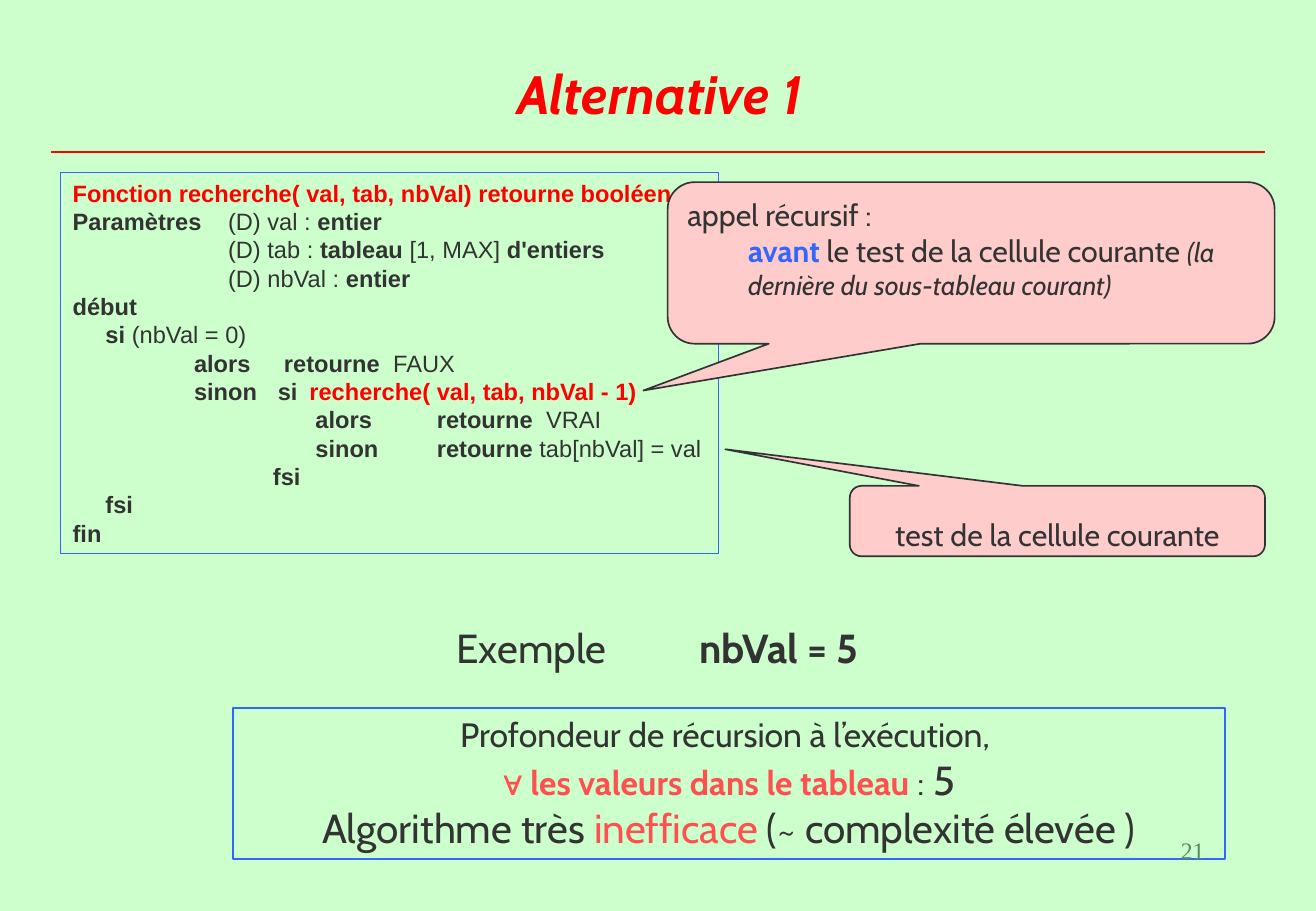
from pptx import Presentation
from pptx.dml.color import RGBColor
from pptx.enum.shapes import MSO_CONNECTOR, MSO_SHAPE
from pptx.enum.text import MSO_ANCHOR, MSO_AUTO_SIZE, PP_ALIGN
from pptx.oxml.ns import qn
from pptx.util import Inches, Pt
from lxml import etree

RECTANGLE = MSO_SHAPE.RECTANGLE
CALLOUT = MSO_SHAPE.ROUNDED_RECTANGULAR_CALLOUT
STRAIGHT = MSO_CONNECTOR.STRAIGHT
TOP, BOTTOM = MSO_ANCHOR.TOP, MSO_ANCHOR.BOTTOM
NO_FIT = MSO_AUTO_SIZE.NONE
LEFT, CENTER, RIGHT, JUSTIFY = (
    PP_ALIGN.LEFT, PP_ALIGN.CENTER, PP_ALIGN.RIGHT, PP_ALIGN.JUSTIFY)

GREEN, PINK, INK = "CCFFCC", "FFCCCC", "333333"
RED, CORAL, BLUE = "FF0000", "FF5050", "3366FF"
BOLD = {"bold": True}
CALL = {"bold": True, "color": RED}
ALERT = {"color": CORAL}
LARGE = {"size": 24}

CODE_LINES = [
    ([], [("Fonction recherche( val, tab, nbVal) retourne booléen", CALL)]),
    ([1.28], [("Paramètres", BOLD), ("\t(D) val : ", {}), ("entier", BOLD)]),
    ([1.28], [("\t(D) tab : ", {}), ("tableau", BOLD), (" [1, MAX] ", {}),
              ("d'entiers", BOLD)]),
    ([1.28], [("\t(D) nbVal : ", {}), ("entier", BOLD)]),
    ([], [("début", BOLD)]),
    ([], [("     si", BOLD), (" (nbVal = 0)", {})]),
    ([1, 1.74, 2.64], [("\talors\tretourne", BOLD), ("\tFAUX", {})]),
    ([1, 1.69, 1.95], [("\tsinon\tsi\t", BOLD),
                       ("recherche( val, tab, nbVal - 1)", CALL)]),
    ([2, 3, 3.9], [("\talors\tretourne", BOLD), ("\tVRAI", {})]),
    ([2, 3], [("\tsinon\tretourne", BOLD), (" tab[nbVal] = val", {})]),
    ([1.65], [("\tfsi", BOLD)]),
    ([], [("     fsi", BOLD)]),
    ([], [("fin", BOLD)]),
]


def rgb(value):
    return RGBColor.from_string(value)


def style_font(font, name="Cabin", size=18, color=INK, bold=False, italic=False):
    font.name = name
    font.size = Pt(size)
    font.color.rgb = rgb(color)
    font.bold = bold
    font.italic = italic


def set_tabs(para, stops):
    tab_list = etree.SubElement(para._p.get_or_add_pPr(), qn("a:tabLst"))
    for stop in stops:
        etree.SubElement(tab_list, qn("a:tab"), pos=str(Inches(stop)), algn="l")


def set_indent(para, length):
    props = para._p.get_or_add_pPr()
    props.set("marL", str(Inches(length)))
    props.set("indent", "0")


def write_lines(box, lines, align=LEFT, **base):
    frame = box.text_frame
    frame.word_wrap = True
    for index, (stops, spans) in enumerate(lines):
        para = frame.add_paragraph() if index else frame.paragraphs[0]
        para.alignment = align
        if stops:
            set_tabs(para, stops)
        for text, changes in spans:
            span = para.add_run()
            span.text = text
            style_font(span.font, **{**base, **changes})
    return frame


def add_panel(page, kind, place, line, width=1, fill=None):
    panel = page.shapes.add_shape(kind, *map(Inches, place))
    panel.shadow.inherit = False
    if fill:
        panel.fill.solid()
        panel.fill.fore_color.rgb = rgb(fill)
    else:
        panel.fill.background()
    panel.line.color.rgb = rgb(line)
    panel.line.width = Pt(width)
    panel.text_frame.vertical_anchor = TOP
    return panel


def add_callout(page, place, pointer):
    callout = add_panel(page, CALLOUT, place, INK, fill=PINK)
    callout.adjustments[0], callout.adjustments[1] = pointer
    return callout


def add_label(page, place, spans, align, stops=(), **base):
    label = page.shapes.add_textbox(*map(Inches, place))
    write_lines(label, [(stops, spans)], align, **base)


def add_title(page, text):
    title = page.shapes.title
    title.left, title.top, title.width, title.height = map(
        Inches, (0.83, 0.33, 9.21, 0.75))
    frame = title.text_frame
    frame.text = text
    frame.auto_size = NO_FIT
    frame.vertical_anchor = BOTTOM
    para = frame.paragraphs[0]
    para.alignment = CENTER
    style_font(para.runs[0].font, size=32, color=RED, bold=True, italic=True)


def add_rule(page, left, right, top):
    rule = page.shapes.add_connector(
        STRAIGHT, Inches(left), Inches(top), Inches(right), Inches(top))
    rule.line.color.rgb = rgb(RED)
    rule.line.width = Pt(1)
    etree.SubElement(rule._element.spPr, qn("a:effectLst"))


def main():
    deck = Presentation()
    deck.slide_width, deck.slide_height = Inches(10.84), Inches(7.5)
    page = deck.slides.add_slide(deck.slide_layouts[5])
    page.background.fill.solid()
    page.background.fill.fore_color.rgb = rgb(GREEN)

    code = add_panel(page, RECTANGLE, (0.5, 1.42, 5.42, 3.14), BLUE, 0.75)
    write_lines(code, CODE_LINES, JUSTIFY, name="Arial", size=14)
    add_title(page, "Alternative 1")
    add_rule(page, 0.42, 10.42, 1.25)

    recursion = add_callout(page, (5.5, 1.5, 5, 1.33), (-0.54, 0.79))
    frame = write_lines(recursion, [
        ([], [("appel récursif :", {})]),
        ([], [("avant ", {"color": BLUE, "bold": True}),
              ("le test de la cellule courante ", {}),
              ("(la dernière du sous-tableau courant)",
               {"size": 16, "italic": True})]),
    ])
    frame.paragraphs[1].level = 1
    set_indent(frame.paragraphs[1], 0.5)

    cell_test = add_callout(page, (7, 4, 3.42, 0.58), (-0.8, -1.02))
    frame = write_lines(
        cell_test, [([], [("test de la cellule courante", {})])], CENTER)
    frame.margin_top, frame.margin_bottom = Inches(0.22), 0

    add_label(page, (0.83, 5.08, 9.17, 0.6),
              [("Exemple\t", {}), ("nbVal = 5", BOLD)], CENTER, [2], size=24)

    summary = add_panel(page, RECTANGLE, (1.92, 5.83, 8.17, 1.24), BLUE)
    write_lines(summary, [
        ([], [("Profondeur de récursion à l’exécution, ", {})]),
        ([], [("∀", {"name": "Arial", "color": CORAL, "bold": True}),
              (" les valeurs dans le tableau", {"color": CORAL, "bold": True}),
              (" :", {}), (" 5", LARGE)]),
        ([], [("Algorithme très ", LARGE), ("inefficace", {**LARGE, **ALERT}),
              (" (~ complexité élevée )", LARGE)]),
    ], CENTER, size=20)

    add_label(page, (7.76, 6.83, 2.26, 0.5), [("21", {})], RIGHT,
              name="Times New Roman", size=14, color="578963")
    deck.save("out.pptx")


if __name__ == "__main__":
    main()
